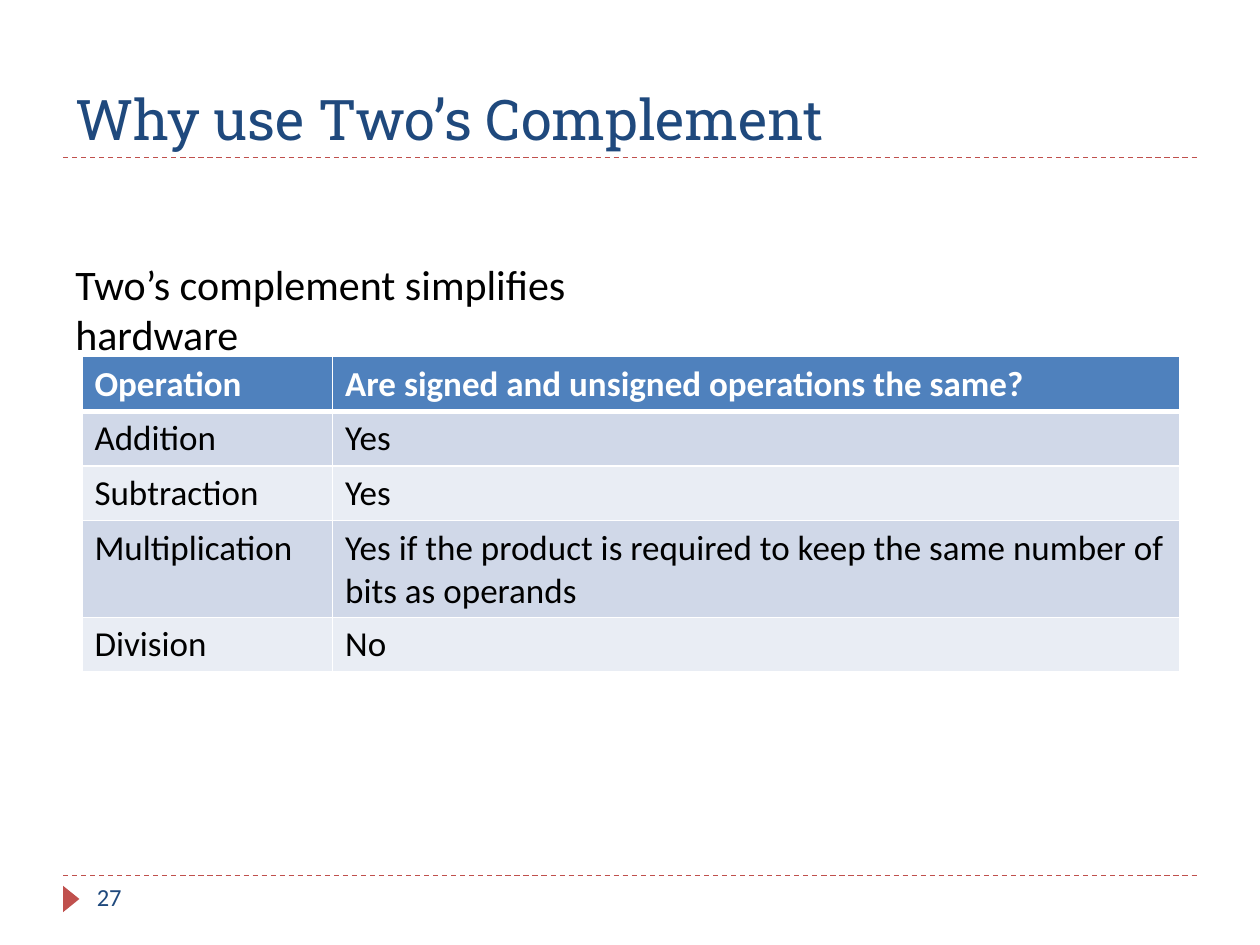
from lxml import etree
from pptx import Presentation
from pptx.dml.color import RGBColor
from pptx.enum.dml import MSO_LINE
from pptx.enum.shapes import MSO_CONNECTOR, MSO_SHAPE
from pptx.enum.text import MSO_ANCHOR
from pptx.oxml.ns import qn
from pptx.util import Inches, Pt

DASH = MSO_LINE.DASH
STRAIGHT = MSO_CONNECTOR.STRAIGHT
TRIANGLE = MSO_SHAPE.ISOSCELES_TRIANGLE
TOP, BOTTOM = MSO_ANCHOR.TOP, MSO_ANCHOR.BOTTOM

RED = RGBColor(0xC0, 0x50, 0x4D)
NAVY = RGBColor(0x1F, 0x49, 0x7D)
BLUE = RGBColor(0x4F, 0x81, 0xBD)
DARK = RGBColor(0xD0, 0xD8, 0xE8)
LIGHT = RGBColor(0xE9, 0xED, 0xF4)
WHITE = RGBColor(0xFF, 0xFF, 0xFF)
BLACK = RGBColor(0, 0, 0)

BODY, HEAD = "Calibri", "Roboto Slab"
ROWS = [
    ("Operation", "Are signed and unsigned operations the same?"),
    ("Addition", "Yes"),
    ("Subtraction", "Yes"),
    ("Multiplication",
     "Yes if the product is required to keep the same number of bits as operands"),
    ("Division", "No"),
]
WIDTHS = (1.99, 6.72)
ROW_H = 0.41


def add_run(frame, text, size, color, font=BODY, bold=False):
    run = frame.paragraphs[0].add_run()
    run.text = text
    run.font.size = Pt(size)
    run.font.name = font
    run.font.bold = bold
    run.font.color.rgb = color


def add_text(slide, box, text, size, color, font=BODY, anchor=TOP):
    frame = slide.shapes.add_textbox(*map(Inches, box)).text_frame
    frame.word_wrap = True
    frame.vertical_anchor = anchor
    add_run(frame, text, size, color, font)


def add_rule(slide, y):
    rule = slide.shapes.add_connector(
        STRAIGHT, Inches(0.5), Inches(y), Inches(9.5), Inches(y))
    rule.line.color.rgb = RED
    rule.line.width = Pt(0.75)
    rule.line.dash_style = DASH
    etree.SubElement(rule._element.spPr, qn("a:effectLst"))


def add_marker(slide):
    mark = slide.shapes.add_shape(
        TRIANGLE, Inches(0.46), Inches(7.07), Inches(0.21), Inches(0.13))
    mark.rotation = 90
    mark.shadow.inherit = False
    mark.fill.solid()
    mark.fill.fore_color.rgb = RED
    mark.line.fill.background()


def set_border(cell, side, width):
    line = etree.SubElement(
        cell._tc.get_or_add_tcPr(), qn(f"a:{side}"), w=str(Pt(width)))
    fill = etree.SubElement(line, qn("a:solidFill"))
    etree.SubElement(fill, qn("a:srgbClr"), val=str(WHITE))


def fill_cell(cell, text, row):
    # Borders come before the fill in the cell's XML
    for side in ("lnL", "lnR", "lnT", "lnB"):
        thick = (row, side) in ((0, "lnB"), (1, "lnT"))
        set_border(cell, side, 3 if thick else 1)
    cell.fill.solid()
    if row == 0:
        cell.fill.fore_color.rgb = BLUE
    else:
        cell.fill.fore_color.rgb = DARK if row % 2 else LIGHT
    add_run(cell.text_frame, text, 20, BLACK if row else WHITE, bold=row == 0)


def add_grid(slide):
    table = slide.shapes.add_table(
        len(ROWS), len(WIDTHS), Inches(0.65), Inches(2.83),
        Inches(sum(WIDTHS)), Inches(ROW_H * len(ROWS))).table
    for col, width in zip(table.columns, WIDTHS):
        col.width = Inches(width)
    for r, texts in enumerate(ROWS):
        table.rows[r].height = Inches(ROW_H)
        for c, text in enumerate(texts):
            fill_cell(table.cell(r, c), text, r)


def main():
    deck = Presentation()
    deck.slide_width, deck.slide_height = Inches(10), Inches(7.5)
    slide = deck.slides.add_slide(deck.slide_layouts[6])

    # Frame: rules, marker, title and page number
    for y in (6.95, 1.25):
        add_rule(slide, y)
    add_marker(slide)
    add_text(slide, (0.5, 0.17, 9, 1.08), "Why use Two’s Complement",
             32, NAVY, HEAD, BOTTOM)
    add_text(slide, (0.67, 6.95, 2.17, 0.4), "27", 14, NAVY)

    # Content: table and lead sentence
    add_grid(slide)
    add_text(slide, (0.5, 2, 5.44, 0.5),
             "Two’s complement simplifies hardware", 24, BLACK)

    deck.save("out.pptx")


if __name__ == "__main__":
    main()
